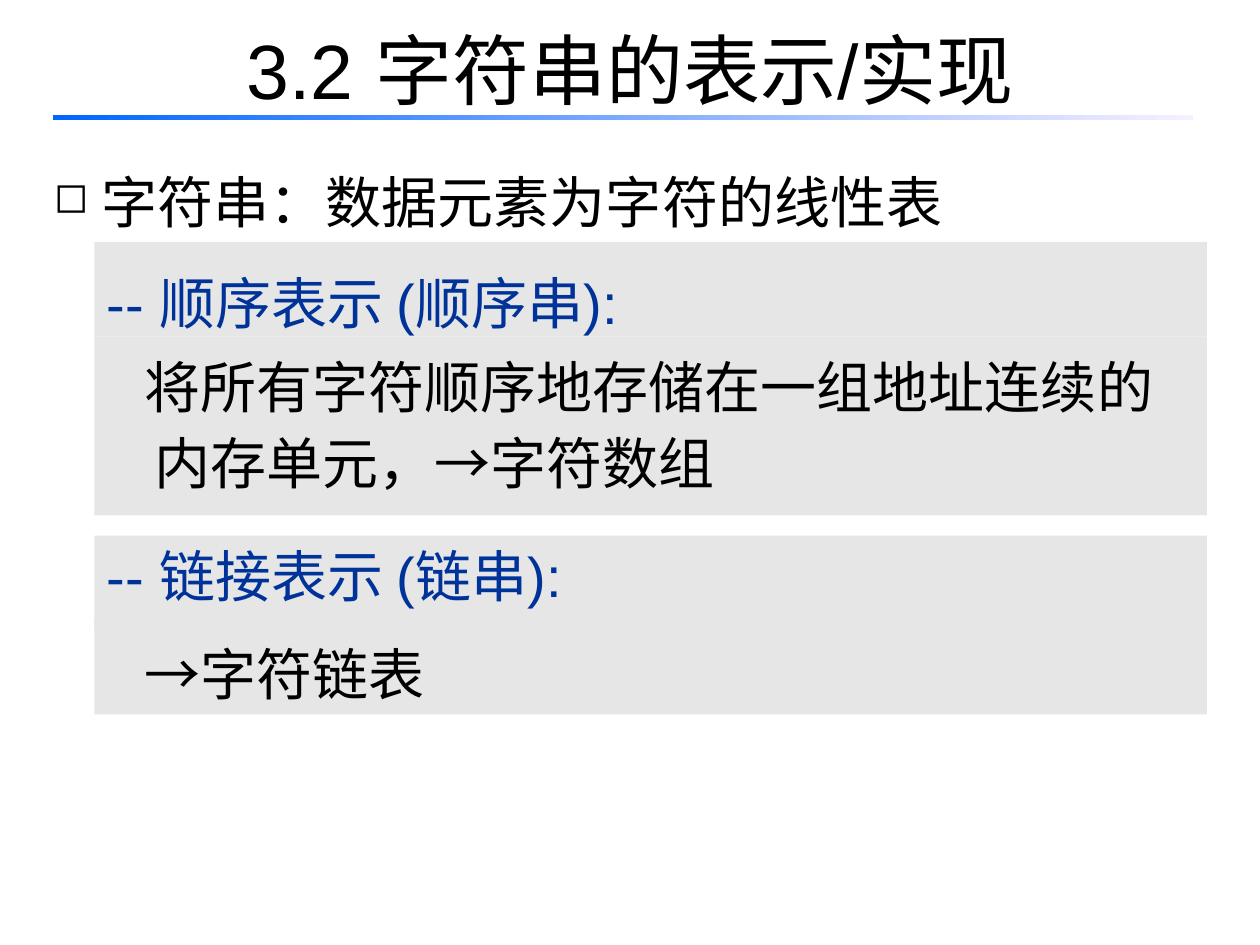
from lxml import etree
from pptx import Presentation
from pptx.dml.color import RGBColor
from pptx.enum.shapes import MSO_SHAPE
from pptx.enum.text import MSO_ANCHOR, PP_ALIGN
from pptx.oxml.ns import qn
from pptx.util import Inches, Pt

RECTANGLE = MSO_SHAPE.RECTANGLE
TOP, MIDDLE = MSO_ANCHOR.TOP, MSO_ANCHOR.MIDDLE
LEFT, CENTER = PP_ALIGN.LEFT, PP_ALIGN.CENTER

COLORS = {
    "text": "000000",
    "heading": "003399",
    "panel": "E6E6E6",
    "rule_start": "0066FF",
    "rule_end": "F7EFFF",
}
FONT = "Arial"
TITLE_SIZE, BODY_SIZE = 44, 32
HANG = 0.38
CONTINUED = -0.08  # first-line indent of a panel that continues a heading
PANEL_LEFT, PANEL_WIDTH, ROW = 0.75, 8.83, 0.75

# top, height, text, colour, first-line indent, line spacing
PANELS = [
    (1.92, ROW, "-- 顺序表示 (顺序串):", "heading", -HANG, 1.3),
    (4.25, ROW, "-- 链接表示 (链串):", "heading", -HANG, 1.0),
    (2.67, 1.42, "将所有字符顺序地存储在一组地址连续的内存单元，→字符数组",
     "text", CONTINUED, 1.14),
    (4.92, ROW, "→字符链表", "text", CONTINUED, 1.2),
]


def rgb(name):
    return RGBColor.from_string(COLORS[name])


def write(shape, text, size=BODY_SIZE, color="text", align=LEFT, anchor=TOP,
          spacing=1.0):
    """Put one styled paragraph in the shape and return it."""
    frame = shape.text_frame
    frame.word_wrap = True
    frame.vertical_anchor = anchor
    paragraph = frame.paragraphs[0]
    paragraph.text = text
    paragraph.alignment = align
    paragraph.line_spacing = spacing
    font = paragraph.font
    font.name, font.size = FONT, Pt(size)
    font.color.rgb = rgb(color)
    return paragraph


def indent(paragraph, first_line):
    properties = paragraph._p.get_or_add_pPr()
    properties.set("marL", str(Inches(HANG)))
    properties.set("indent", str(Inches(first_line)))


def add_bullet(paragraph, char, percent):
    properties = paragraph._p.get_or_add_pPr()
    size = etree.Element(qn("a:buSzPct"), val=str(percent * 1000))
    bullet = etree.Element(qn("a:buChar"), char=char)
    defaults = properties.find(qn("a:defRPr"))
    for element in (size, bullet):
        defaults.addprevious(element)


def add_text(slide, left, top, width, height, text, **style):
    box = slide.shapes.add_textbox(*map(Inches, (left, top, width, height)))
    return write(box, text, **style)


def add_bar(slide, left, top, width, height):
    """Add a rectangle without outline or shadow."""
    bar = slide.shapes.add_shape(
        RECTANGLE, *map(Inches, (left, top, width, height)))
    bar.shadow.inherit = False
    bar.line.fill.background()
    return bar


def add_title_rule(slide):
    rule = add_bar(slide, 0.42, 0.91, 9.05, 0.04)
    rule.fill.gradient()
    rule.fill.gradient_angle = 0
    for stop, color in zip(rule.fill.gradient_stops, ("rule_start", "rule_end")):
        stop.color.rgb = rgb(color)


def add_panel(slide, top, height, text, color, first_line, spacing):
    panel = add_bar(slide, PANEL_LEFT, top, PANEL_WIDTH, height)
    panel.fill.solid()
    panel.fill.fore_color.rgb = rgb("panel")
    indent(write(panel, text, color=color, spacing=spacing), first_line)


def main():
    deck = Presentation()
    deck.slide_width, deck.slide_height = Inches(10), Inches(7.5)
    slide = deck.slides.add_slide(deck.slide_layouts[6])

    add_text(slide, 0.5, -0.08, 9, 1.25, "3.2 字符串的表示/实现",
             size=TITLE_SIZE, align=CENTER, anchor=MIDDLE)
    add_title_rule(slide)
    definition = add_text(slide, 0.33, 1.17, 9.33, ROW,
                          "字符串：数据元素为字符的线性表", spacing=1.2)
    indent(definition, -HANG)
    add_bullet(definition, "◻", 75)
    for panel in PANELS:
        add_panel(slide, *panel)

    deck.save("out.pptx")


if __name__ == "__main__":
    main()
